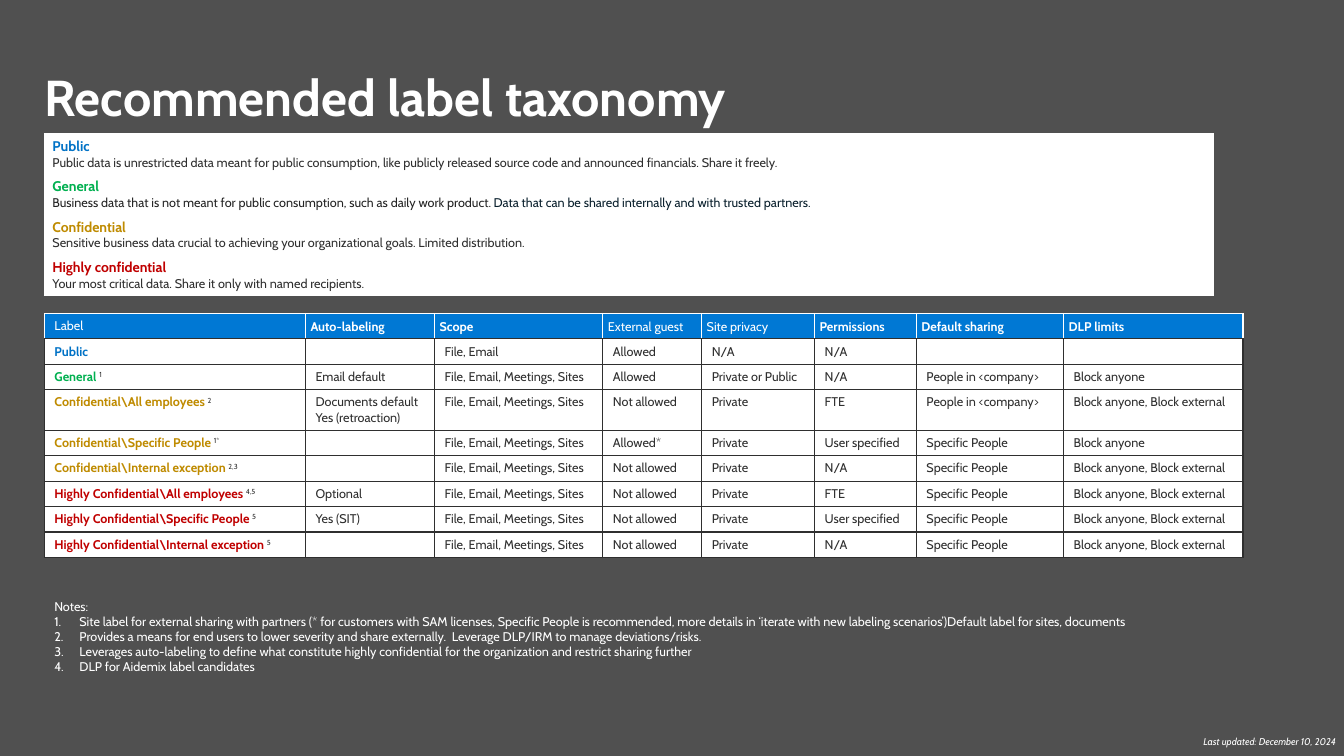
from lxml import etree
from pptx import Presentation
from pptx.dml.color import RGBColor
from pptx.enum.text import MSO_ANCHOR, PP_ALIGN
from pptx.oxml.ns import qn
from pptx.util import Inches, Pt

MIDDLE, TOP = MSO_ANCHOR.MIDDLE, MSO_ANCHOR.TOP
LEFT, RIGHT = PP_ALIGN.LEFT, PP_ALIGN.RIGHT
TITLE_ONLY = 5

WHITE = RGBColor(0xFF, 0xFF, 0xFF)
GREY = RGBColor(0x50, 0x50, 0x50)
DARK = RGBColor(0x2F, 0x2F, 0x2F)
CHARCOAL = RGBColor(0x24, 0x24, 0x24)
NAVY = RGBColor(0x09, 0x1F, 0x2C)
HEADER_BLUE = RGBColor(0x00, 0x78, 0xD4)
BLUE = RGBColor(0x00, 0x72, 0xC6)
GREEN = RGBColor(0x00, 0xB0, 0x50)
GOLD = RGBColor(0xBF, 0x8B, 0x00)
RED = RGBColor(0xC0, 0x00, 0x00)

DEFINITIONS = [
    ("Public", BLUE, [("Public data is unrestricted data meant for public consumption, like publicly "
                       "released source code and announced financials. Share it freely.", DARK)]),
    ("General", GREEN, [("Business data that is not meant for public consumption, such as daily work product. ",
                         CHARCOAL),
                        ("Data that can be shared internally and with trusted partners.", NAVY)]),
    ("Confidential", GOLD, [("Sensitive business data crucial to achieving your organizational goals. "
                             "Limited distribution.", DARK)]),
    ("Highly confidential", RED, [("Your most critical data. Share it only with named recipients.", DARK)]),
]

HEADERS = [("Label", False), ("Auto-labeling", True), ("Scope", True), ("External guest", False),
           ("Site privacy", False), ("Permissions", True), ("Default sharing", True), ("DLP limits", True)]
COLUMN_WIDTHS = [2.59, 1.28, 1.67, 0.98, 1.12, 1.01, 1.46, 1.78]
ROW_HEIGHT, TALL_ROW_HEIGHT = 0.25, 0.4

ALL_SCOPES = "File, Email, Meetings, Sites"
COMPANY = "People in <company>"
SPECIFIC = "Specific People"
ANYONE = "Block anyone"
BOTH = "Block anyone, Block external"
LABELS = [
    ("Public", "", BLUE, ["", "File, Email", "Allowed", "N/A", "N/A", "", ""]),
    ("General ", "1", GREEN,
     ["Email default", ALL_SCOPES, "Allowed", "Private or Public", "N/A", COMPANY, ANYONE]),
    ("Confidential\\All employees ", "2", GOLD,
     ["Documents default\nYes (retroaction)", ALL_SCOPES, "Not allowed", "Private", "FTE", COMPANY, BOTH]),
    ("Confidential\\Specific People ", "1*", GOLD,
     ["", ALL_SCOPES, "Allowed*", "Private", "User specified", SPECIFIC, ANYONE]),
    ("Confidential\\Internal exception ", "2,3", GOLD,
     ["", ALL_SCOPES, "Not allowed", "Private", "N/A", SPECIFIC, BOTH]),
    ("Highly Confidential\\All employees ", "4,5", RED,
     ["Optional", ALL_SCOPES, "Not allowed", "Private", "FTE", SPECIFIC, BOTH]),
    ("Highly Confidential\\Specific People ", "5", RED,
     ["Yes (SIT)", ALL_SCOPES, "Not allowed", "Private", "User specified", SPECIFIC, BOTH]),
    ("Highly Confidential\\Internal exception ", "5", RED,
     ["", ALL_SCOPES, "Not allowed", "Private", "N/A", SPECIFIC, BOTH]),
]

NOTES = [
    "Site label for external sharing with partners (* for customers with SAM licenses, Specific People is "
    "recommended, more details in ‘iterate with new labeling scenarios’)Default label for sites, documents",
    "Provides a means for end users to lower severity and share externally.  "
    "Leverage DLP/IRM to manage deviations/risks.",
    "Leverages auto-labeling to define what constitute highly confidential for the organization "
    "and restrict sharing further",
    "DLP for Aidemix label candidates",
]


class SlideBuilder:
    font = "Cabin"
    body = 9

    def __init__(self, prs):
        self.s = prs.slides.add_slide(prs.slide_layouts[TITLE_ONLY])
        self.s.background.fill.solid()
        self.s.background.fill.fore_color.rgb = GREY

    def style(self, p, size, color, bold=False, italic=False):
        f = p.font
        f.name, f.size, f.bold, f.italic = self.font, Pt(size), bold, italic
        f.color.rgb = color

    def put_text(self, p, text, size, color, bold=False, italic=False):
        self.style(p, size, color, bold, italic)
        if text:
            p.add_run().text = text
        else:
            p._p.get_or_add_endParaRPr().set("sz", str(size * 100))

    def paragraphs(self, tf, count):
        return [tf.paragraphs[0]] + [tf.add_paragraph() for _ in range(count - 1)]

    def margins(self, box, x, y):
        box.margin_left = box.margin_right = Inches(x)
        box.margin_top = box.margin_bottom = Inches(y)

    def title(self, text, x, y, w, h):
        sp = self.s.shapes.title
        sp.left, sp.top, sp.width, sp.height = map(Inches, (x, y, w, h))
        tf = sp.text_frame
        self.margins(tf, 0, 0)
        tf.vertical_anchor = TOP
        p = tf.paragraphs[0]
        p.alignment, p.line_spacing = LEFT, 1.0
        self.put_text(p, text, 36, WHITE, bold=True)

    def text_box(self, x, y, w, h):
        tf = self.s.shapes.add_textbox(*map(Inches, (x, y, w, h))).text_frame
        tf.word_wrap = True
        return tf

    def notes(self, heading, items, *box):
        first, *rest = self.paragraphs(self.text_box(*box), len(items) + 1)
        self.put_text(first, heading, self.body, WHITE)
        for p, item in zip(rest, items):
            self.put_text(p, item, self.body, WHITE)
            pPr = p._p.get_or_add_pPr()
            pPr.set("marL", str(Inches(0.25)))
            pPr.set("indent", str(-Inches(0.25)))
            number = etree.Element(qn("a:buAutoNum"), type="arabicPeriod")
            pPr.insert(0, number)

    def footer(self, text, *box):
        tf = self.text_box(*box)
        self.margins(tf, 0, 0)
        p = tf.paragraphs[0]
        p.alignment = RIGHT
        self.put_text(p, text, 7, WHITE, italic=True)

    def table(self, x, y, widths, heights):
        frame = self.s.shapes.add_table(len(heights), len(widths), Inches(x), Inches(y),
                                        Inches(sum(widths)), Inches(sum(heights)))
        tbl = frame.table
        tbl.first_row = tbl.horz_banding = False
        for column, width in zip(tbl.columns, widths):
            column.width = Inches(width)
        for row, height in zip(tbl.rows, heights):
            row.height = Inches(height)
        return tbl

    def fill(self, cell, color):
        cell.fill.solid()
        cell.fill.fore_color.rgb = color

    def borders(self, cell, side, bottom):
        tcPr = cell._tc.get_or_add_tcPr()
        for tag, color in (("lnL", side), ("lnR", side), ("lnT", side), ("lnB", bottom)):
            ln = etree.SubElement(tcPr, qn("a:" + tag), w=str(Pt(1)))
            solid = etree.SubElement(ln, qn("a:solidFill"))
            etree.SubElement(solid, qn("a:srgbClr"), val=str(color))

    def definitions(self, entries, x, y, width):
        tbl = self.table(x, y, [width], [0.4] * len(entries))
        for row, (name, color, parts) in enumerate(entries):
            cell = tbl.cell(row, 0)
            self.margins(cell, 0.08, 0.04)
            self.fill(cell, WHITE)
            head, text = self.paragraphs(cell.text_frame, 2)
            self.put_text(head, name, 10, color, bold=True)
            self.style(text, self.body, DARK)
            for words, shade in parts:
                r = text.add_run()
                r.text = words
                r.font.color.rgb = shade

    def taxonomy(self, headers, labels, x, y, widths):
        heights = [ROW_HEIGHT] + [TALL_ROW_HEIGHT if "\n" in values[0] else ROW_HEIGHT
                                  for _, _, _, values in labels]
        tbl = self.table(x, y, widths, heights)
        for col, (name, bold) in enumerate(headers):
            cell = tbl.cell(0, col)
            self.borders(cell, WHITE, DARK)
            self.fill(cell, HEADER_BLUE)
            cell.vertical_anchor = MIDDLE
            p = cell.text_frame.paragraphs[0]
            if col:
                self.margins(cell, 0.05, 0)
                p.line_spacing = 1.07
            self.put_text(p, name, self.body, WHITE, bold)
        for row, (name, mark, color, values) in enumerate(labels, 1):
            for col, value in enumerate([name] + values):
                cell = tbl.cell(row, col)
                self.borders(cell, DARK, DARK)
                self.fill(cell, WHITE)
                lines = value.split("\n")
                for p, line in zip(self.paragraphs(cell.text_frame, len(lines)), lines):
                    self.put_text(p, line, self.body, DARK if col else color, bold=not col)
            if mark:
                r = tbl.cell(row, 0).text_frame.paragraphs[0].add_run()
                r.text = mark
                r.font.bold = False
                r.font.color.rgb = DARK
                r.font._element.set("baseline", "30000")


def main():
    prs = Presentation()
    prs.slide_width, prs.slide_height = Inches(13.33), Inches(7.5)
    slide = SlideBuilder(prs)
    slide.title("Recommended label taxonomy", 0.44, 0.66, 12.6, 0.61)
    slide.taxonomy(HEADERS, LABELS, 0.44, 3.11, COLUMN_WIDTHS)
    slide.notes("Notes:", NOTES, 0.44, 5.89, 11.9, 0.86)
    slide.definitions(DEFINITIONS, 0.44, 1.33, 11.59)
    slide.footer("Last updated: December 10, 2024", 10.6, 7.3, 2.65, 0.12)
    prs.save("out.pptx")


if __name__ == "__main__":
    main()
